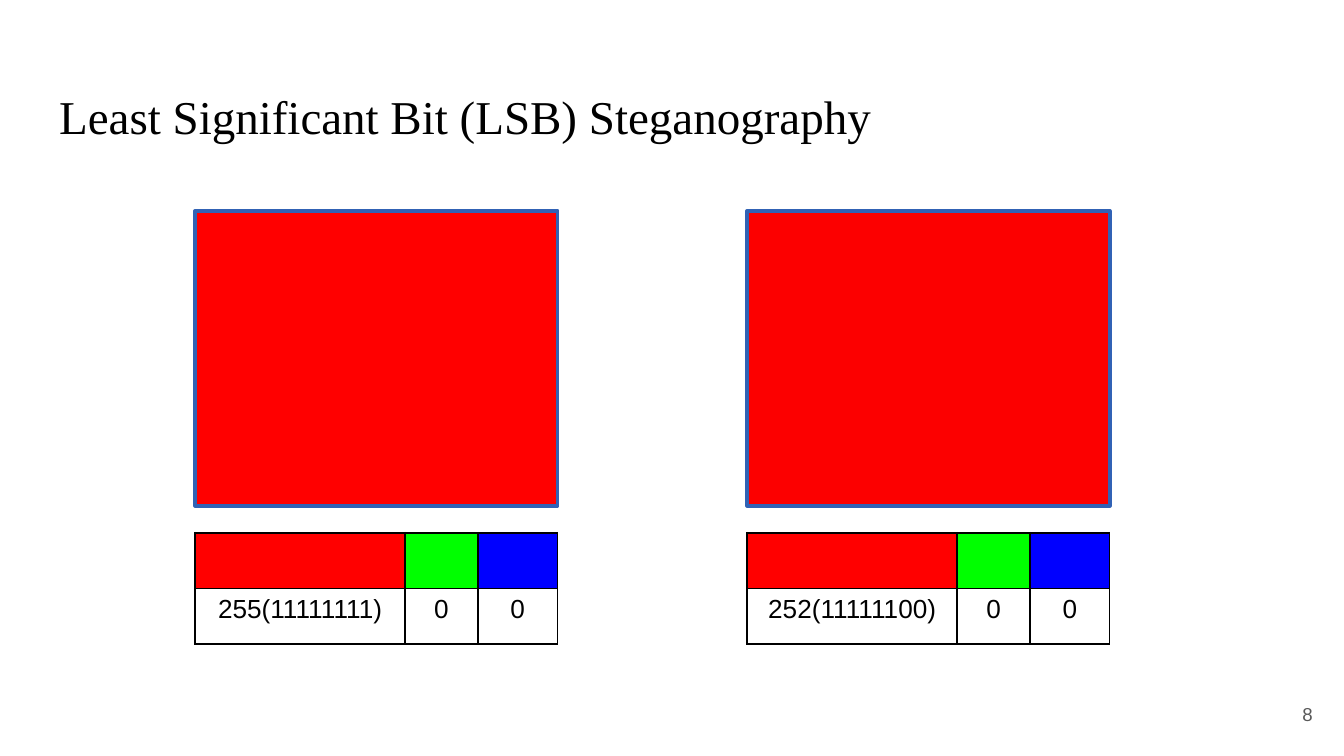
import pptx
import pptx.dml.color
import pptx.enum.shapes
import pptx.enum.text
import pptx.oxml
import pptx.oxml.ns
import pptx.util

Pt = pptx.util.Pt
ALIGN = pptx.enum.text.PP_ALIGN
ANCHOR = pptx.enum.text.MSO_ANCHOR

CHANNEL_COLOURS = ["FF0000", "00FF00", "0000FF"]
CHANNEL_WIDTHS = [112.5, 39, 42.7]


def colour(hex_code):
    return pptx.dml.color.RGBColor.from_string(hex_code)


def fill_solid(target, hex_code):
    target.fill.solid()
    target.fill.fore_color.rgb = colour(hex_code)


def write(frame, text, size=14, font="Arial", hex_code="000000",
          align=ALIGN.LEFT, spacing=1.0):
    paragraph = frame.paragraphs[0]
    paragraph.alignment = align
    paragraph.line_spacing = spacing
    run = paragraph.add_run()
    run.text = text
    run.font.size = Pt(size)
    run.font.name = font
    run.font.color.rgb = colour(hex_code)


def set_up_frame(frame, anchor, inset=7.2):
    frame.word_wrap = True
    frame.auto_size = pptx.enum.text.MSO_AUTO_SIZE.NONE
    frame.vertical_anchor = anchor
    frame.margin_left = frame.margin_right = Pt(inset)
    frame.margin_top = frame.margin_bottom = Pt(inset)


def add_borders(cell, hex_code="000000", width=1):
    properties = cell._tc.get_or_add_tcPr()
    for position, side in enumerate(["lnL", "lnR", "lnT", "lnB"]):
        properties.insert(position, pptx.oxml.parse_xml(
            f'<a:{side} {pptx.oxml.ns.nsdecls("a")} w="{Pt(width)}">'
            f'<a:solidFill><a:srgbClr val="{hex_code}"/></a:solidFill>'
            f'</a:{side}>'))


def place_title(slide, left, top, width, height):
    title = slide.shapes.title
    title.left, title.top = Pt(left), Pt(top)
    title.width, title.height = Pt(width), Pt(height)
    set_up_frame(title.text_frame, ANCHOR.TOP)
    write(title.text_frame, "Least Significant Bit (LSB) Steganography",
          size=25.2, font="Times New Roman", spacing=1.15)


def place_page_number(slide, left, top, width, height):
    number = slide.shapes.add_textbox(Pt(left), Pt(top), Pt(width), Pt(height))
    set_up_frame(number.text_frame, ANCHOR.MIDDLE)
    write(number.text_frame, "8", size=10, hex_code="595959", align=ALIGN.RIGHT)


def place_channel_table(slide, left, top, width, height, values):
    frame = slide.shapes.add_table(
        2, len(values), Pt(left), Pt(top), Pt(width), Pt(height))
    channels = frame.table
    channels.first_row = channels.horz_banding = False
    for row in channels.rows:
        row.height = Pt(height / 2)
    for index, value in enumerate(values):
        share = CHANNEL_WIDTHS[index] / sum(CHANNEL_WIDTHS)
        channels.columns[index].width = Pt(width * share)
        header, body = channels.cell(0, index), channels.cell(1, index)
        fill_solid(header, CHANNEL_COLOURS[index])
        fill_solid(body, "FFFFFF")
        write(body.text_frame, value, align=ALIGN.CENTER)
        add_borders(header)
        add_borders(body)


def place_pixel(slide, left, top, width, height, swatch_colour, values):
    swatch_height, table_height = 158, 59.6
    swatch = slide.shapes.add_shape(
        pptx.enum.shapes.MSO_SHAPE.RECTANGLE,
        Pt(left), Pt(top), Pt(width), Pt(swatch_height))
    swatch.shadow.inherit = False
    fill_solid(swatch, swatch_colour)
    swatch.line.color.rgb = colour("3162B5")
    swatch.line.width = Pt(2)
    place_channel_table(slide, left, top + height - table_height,
                        width, table_height, values)


def main():
    deck = pptx.Presentation()
    deck.slide_width, deck.slide_height = Pt(720), Pt(405)
    slide = deck.slides.add_slide(deck.slide_layouts[5])
    fill_solid(slide.background, "FFFFFF")
    place_page_number(slide, 667.2, 367.2, 43.2, 31)
    place_title(slide, 24.5, 35.3, 671, 45.4)
    pixels = [("FF0000", "255(11111111)"), ("FC0000", "252(11111100)")]
    for index, (swatch_colour, red_value) in enumerate(pixels):
        place_pixel(slide, 104.5 + index * 295.8, 113, 194.2, 232,
                    swatch_colour, [red_value, "0", "0"])
    deck.save("out.pptx")


if __name__ == "__main__":
    main()
